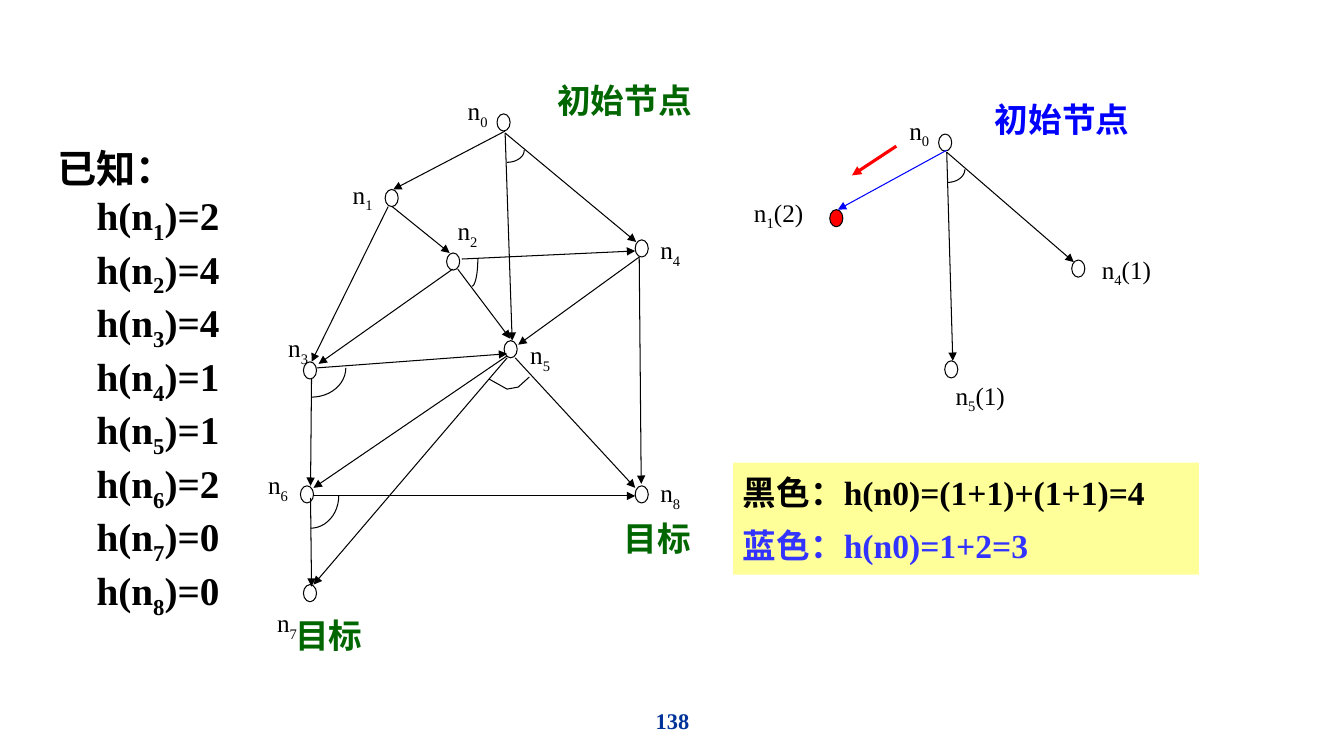
from math import cos, pi, sin

from pptx import Presentation, util as u
from pptx.enum import lang, shapes, text
from pptx.oxml import parse_xml
from pptx.oxml.ns import nsdecls

HUES = {"ink": "000000", "green": "006600", "blue": "0000FF", "violet": "3333FF",
        "red": "FF0000", "cream": "FFFF99", "navy": "003399"}
NODE_W, NODE_H = 1.3, 1.7


def cell(n):
    """Length of n grid cells; ten columns or rows make an inch."""
    return u.Inches(n / 10)


def write(frame, lines, size=18, hue="ink", bold=False, align="LEFT", gap=0, indent=0):
    """Fill a frame; "_" lowers the next character, hue may list one colour a line."""
    hues = hue if isinstance(hue, list) else [hue] * len(lines)
    for i, (line, tone) in enumerate(zip(lines, hues)):
        para = frame.paragraphs[0] if i == 0 else frame.add_paragraph()
        para.alignment = text.PP_ALIGN[align]
        if i:
            para.space_before = u.Pt(gap)
            if indent:
                para._p.get_or_add_pPr().set("marL", str(cell(indent)))
        head, *tails = line.split("_")
        parts = [(head, False)]
        for tail in tails:
            parts += [(tail[0], True), (tail[1:], False)]
        for words, low in parts:
            if not words:
                continue
            run = para.add_run()
            run.text = words
            font = run.font
            font.name, font.size, font.bold = "Times New Roman", u.Pt(size), bold
            font.language_id = lang.MSO_LANGUAGE_ID.SIMPLIFIED_CHINESE
            font.color.rgb = Board.tint(tone)
            if low:
                run._r.get_or_add_rPr().set("baseline", "-25000")


class Board:
    def __init__(self, slide):
        self.items = slide.shapes

    @staticmethod
    def tint(name):
        from_hex = Board.rgb
        return from_hex(HUES[name])

    @staticmethod
    def rgb(code):
        from pptx.dml.color import RGBColor
        return RGBColor.from_string(code)

    def ink(self, line, hue="ink", width=0.75):
        line.color.rgb = self.tint(hue)
        line.width = u.Pt(width)

    def label(self, x, y, w, h, *lines, wrap=False, fill=None, grow=True, **style):
        box = self.items.add_textbox(*map(cell, (x, y, w, h)))
        frame = box.text_frame
        frame.word_wrap = wrap
        frame.vertical_anchor = text.MSO_ANCHOR.MIDDLE
        if grow:
            frame.auto_size = text.MSO_AUTO_SIZE.SHAPE_TO_FIT_TEXT
        if fill:
            box.fill.solid()
            box.fill.fore_color.rgb = self.tint(fill)
        write(frame, lines, **style)

    def node(self, x, y, fill=None):
        dot = self.items.add_shape(shapes.MSO_SHAPE.OVAL, *map(cell, (x, y, NODE_W, NODE_H)))
        dot.shadow.inherit = False
        if fill:
            dot.fill.solid()
            dot.fill.fore_color.rgb = self.tint(fill)
        else:
            dot.fill.background()
        self.ink(dot.line)

    def arrow(self, x1, y1, x2, y2, hue="ink", width=0.75):
        link = self.items.add_connector(shapes.MSO_CONNECTOR.STRAIGHT,
                                        *map(cell, (x1, y1, x2, y2)))
        self.ink(link.line, hue, width)
        link.line._get_or_add_ln().append(
            parse_xml(f'<a:tailEnd {nsdecls("a")} type="triangle"/>'))
        link._element.spPr.append(parse_xml(f'<a:effectLst {nsdecls("a")}/>'))

    def trace(self, points):
        """Draw an open outline through the points."""
        spots = [(cell(x), cell(y)) for x, y in points]
        path = self.items.build_freeform(*spots[0])
        path.add_line_segments(spots[1:], close=False)
        curve = path.convert_to_shape()
        curve.shadow.inherit = False
        curve.fill.background()
        self.ink(curve.line)

    def arc(self, x, y, w, h, steps=12):
        """Draw the lower right quarter of an ellipse centred on x, y."""
        turns = [pi / 2 * i / steps for i in range(steps + 1)]
        self.trace([(x + w * sin(t), y + h * cos(t)) for t in turns])


# Node corner, then label corner, for n0 to n8
GRAPH = [(49.3, 11.3, 45.4, 9.2), (38.2, 18.8, 34, 17.5), (44.3, 25.1, 44.4, 21.1),
         (30.1, 35.9, 27.6, 32.7), (63, 23.8, 64.5, 23), (50, 33.8, 51.6, 33.4),
         (29.8, 48.2, 25.6, 46.3), (63, 48.2, 64.5, 47.1), (30.1, 58, 26.5, 60)]
NAMES = [0, 1, 2, 3, 4, 5, 6, 8, 7]
EDGES = [(50.1, 13, 39, 18.8), (50.1, 13.2, 50.8, 33.8), (50.1, 13.2, 63.1, 24),
         (38.5, 20.5, 30.9, 35.9), (38.9, 20.5, 44.6, 25.1), (45.4, 26.7, 50.6, 33.6),
         (45.8, 25.7, 63, 24.9), (44.9, 26.7, 31.6, 36.1), (31.4, 36.5, 50.3, 35.1),
         (30.9, 37.6, 30.8, 48.2), (63.4, 25.5, 51.4, 34.2), (63.4, 25.5, 63.6, 48),
         (50.3, 35.3, 31.1, 48.4), (50.3, 35.5, 31.1, 58), (51.1, 35.5, 63, 48.4),
         (31.1, 49.2, 63, 49.2), (30.8, 49.4, 30.9, 58.2)]
ARCS = [(50.3, 14.9, 1.7, 1.2), (46.8, 25.7, 0.6, 2.7), (30.9, 36.5, 3.4, 2.9),
        (30.8, 49.2, 2.8, 3.2), (94, 16.8, 1.7, 1.3)]
TREE = [(93.1, 13.3, None, 89.2, 11.1, 4.1, "n_0"),
        (82.3, 20.8, "red", 73.8, 19.3, 7, "n_1(2)"),
        (106.3, 25.8, None, 108.3, 24.9, 7, "n_4(1)"),
        (93.7, 35.8, None, 93.8, 37.4, 7, "n_5(1)")]
TREE_EDGES = [(93.9, 14.9, 83.1, 20.8, "blue"), (93.9, 15.1, 94.5, 35.8),
              (93.9, 15.1, 106.5, 26), (88.9, 14.5, 84.5, 17.4, "red", 2.25)]
CAPTIONS = [(28.3, 60.5, 8.7, "目标", "green"), (60.9, 50.9, 8.9, "目标", "green"),
            (54.3, 7.4, 15.4, "初始节点", "green"), (97.7, 9.3, 15.6, "初始节点", "blue")]
COSTS = [2, 4, 4, 1, 1, 2, 0, 0]


def main():
    deck = Presentation()
    deck.slide_width, deck.slide_height = u.Inches(13.33), u.Inches(7.5)
    board = Board(deck.slides.add_slide(deck.slide_layouts[6]))

    board.label(44.2, 69.5, 45, 4, "138", wrap=True, grow=False, size=16, hue="navy",
                bold=True, align="CENTER")
    for name, (x, y, left, top) in zip(NAMES, GRAPH):
        board.node(x, y)
        board.label(left, top, 4.1, 4, f"n_{name}")
    for x, y, fill, left, top, width, name in TREE:
        board.node(x, y, fill)
        board.label(left, top, width, 4, name)
    for edge in EDGES + TREE_EDGES:
        board.arrow(*edge)
    for bend in ARCS:
        board.arc(*bend)
    board.trace([(48.5, 37.6), (50.3, 38.6), (51.4, 38.4), (52.5, 37.4)])
    for x, y, width, words, hue in CAPTIONS:
        board.label(x, y, width, 5, words, size=24, hue=hue, bold=True)

    board.label(72.7, 45.9, 46.2, 11.1, "黑色：h(n0)=(1+1)+(1+1)=4", "蓝色：h(n0)=1+2=3",
                wrap=True, fill="cream", size=24, hue=["ink", "violet"], bold=True, gap=9)
    board.label(4.7, 16.2, 20.3, 43.4, "已知：",
                *(f"h(n_{i})={cost}" for i, cost in enumerate(COSTS, 1)),
                wrap=True, size=28, bold=True, indent=3.9)
    deck.save("out.pptx")


if __name__ == "__main__":
    main()
